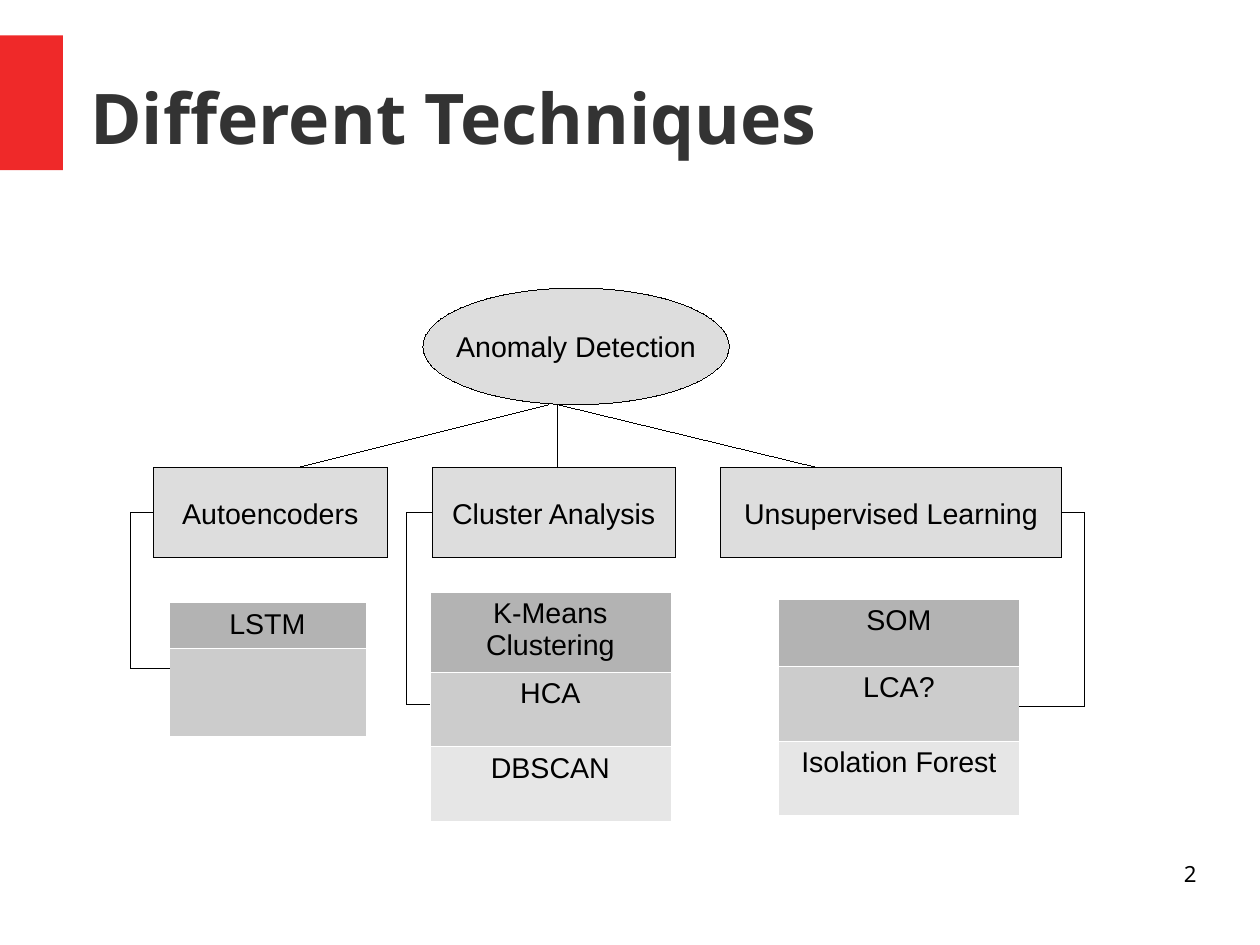
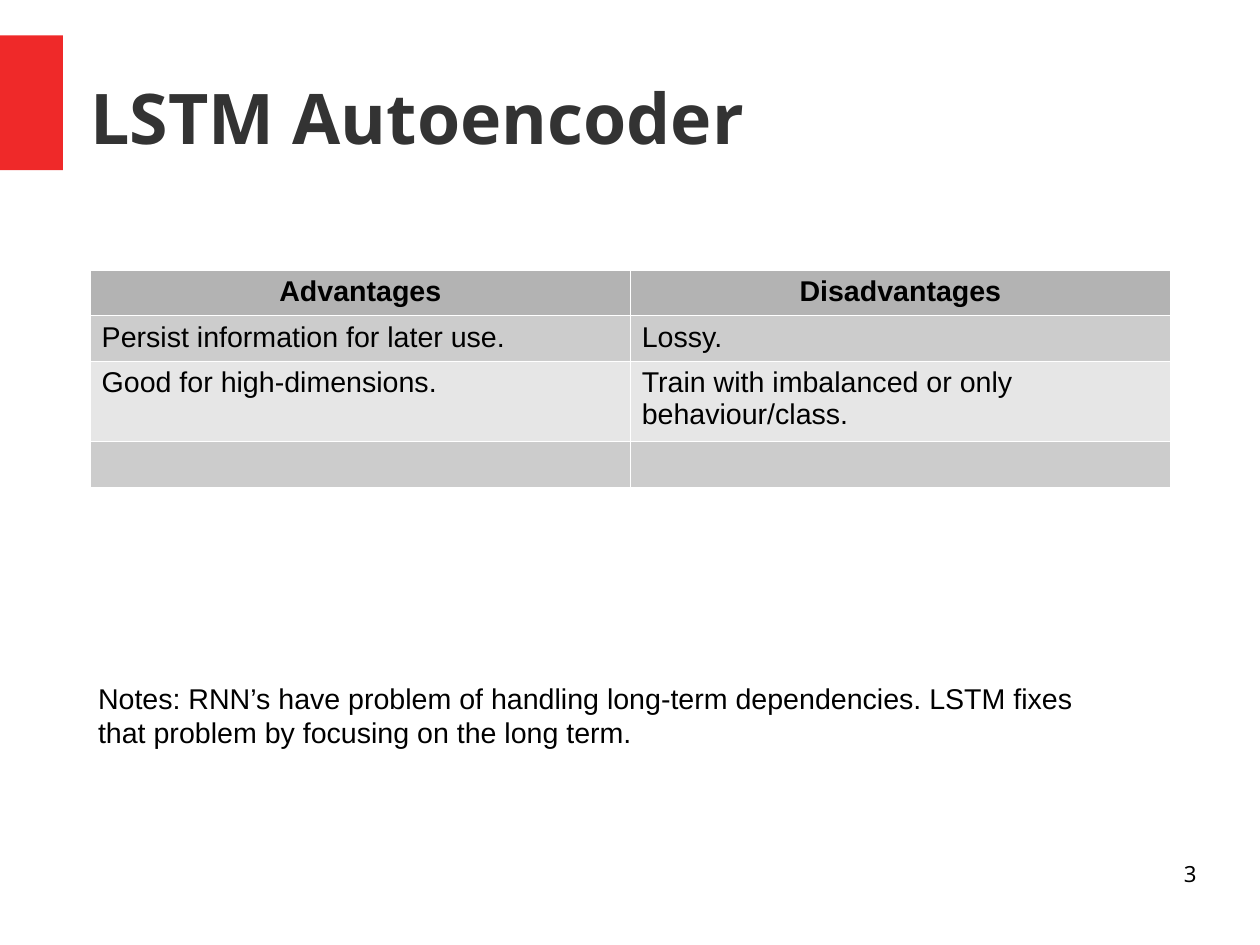
from dataclasses import dataclass

from lxml.etree import SubElement
from pptx import Presentation
from pptx.dml.color import RGBColor
from pptx.enum.shapes import MSO_CONNECTOR, MSO_SHAPE
from pptx.enum.text import MSO_ANCHOR, PP_ALIGN
from pptx.oxml.ns import qn
from pptx.util import Inches, Pt


@dataclass(frozen=True)
class Theme:
    accent: str = "EF2929"
    title: str = "333333"
    ink: str = "000000"
    node: str = "DDDDDD"
    edge: str = "FFFFFF"
    head: str = "B3B3B3"
    rows: tuple = ("CCCCCC", "E6E6E6")
    sans: str = "Noto Sans"
    body: str = "Arial"
    big: int = 44
    mid: int = 18
    small: int = 14
    hair: float = 0.01


T = Theme()
SIZE = 28 / 2.54, 21 / 2.54  # 28 by 21 cm
BAND = 0, 0.31, 0.55, 1.18
TITLE = 0.79, 0.33, 9.68, 1.38
PAGE = 7.9, 7.53, 2.57, 0.57

ROOT = "Anomaly Detection", (3.7, 2.52, 2.68, 1.02)
TOP, HIGH = 4.09, 0.79
STEM = 4.88
REACH = 0.2  # how far a bracket stands out from what it joins

# box: text, left, width; spoke: start, end; list: left, top, width, row heights
# link: side of the box and the list (0 left, 1 right), end height
GROUPS = [
    {"box": ("Autoencoders", 1.34, 2.05),
     "spoke": (4.8, 2.6, TOP),
     "list": (1.48, 5.27, 1.72, (0.38, 0.77)),
     "link": (0, 5.85),
     "items": ["LSTM", ""]},
    {"box": ("Cluster Analysis", 3.78, 2.13),
     "spoke": (STEM, STEM, 4.17),
     "list": (3.76, 5.18, 2.11, (0.65, 0.65, 0.65)),
     "link": (0, 6.16),
     "items": ["K-Means Clustering", "HCA", "DBSCAN"]},
    {"box": ("Unsupervised Learning", 6.3, 2.99),
     "spoke": (STEM, 7.48, 4.17),
     "list": (6.81, 5.24, 2.11, (0.59, 0.65, 0.65)),
     "link": (1, 6.18),
     "items": ["SOM", "LCA?", "Isolation Forest"]},
]

TRAITS = [
    ("Advantages", "Disadvantages"),
    ("Persist information for later use.", "Lossy."),
    ("Good for high-dimensions.",
     "Train with imbalanced or only behaviour/class."),
    ("", ""),
]
NOTE = ("Notes: RNN’s have problem of handling long-term dependencies. "
        "LSTM fixes that problem by focusing on the long term.")


def inch(vals):
    return [Inches(v) for v in vals]


def paint(fill, tint):
    fill.solid()
    fill.fore_color.rgb = RGBColor.from_string(tint)


def ink(line):
    paint(line.fill, T.ink)
    line.width = Pt(T.hair)


def write(frame, text, size=T.mid, face=T.body, tint=T.ink, bold=False,
          align=PP_ALIGN.LEFT):
    frame.text = text
    para = frame.paragraphs[0]
    para.alignment = align
    font = para.font
    font.size, font.name, font.bold = Pt(size), face, bold
    font.color.rgb = RGBColor.from_string(tint)


def pad_off(frame):
    frame.margin_left = frame.margin_right = 0
    frame.margin_top = frame.margin_bottom = 0


def add_shape(slide, kind, area, tint):
    shape = slide.shapes.add_shape(kind, *inch(area))
    shape.shadow.inherit = False
    paint(shape.fill, tint)
    shape.line.fill.background()
    return shape


def add_node(slide, kind, area, text):
    node = add_shape(slide, kind, area, T.node)
    ink(node.line)
    frame = node.text_frame
    frame.word_wrap = False
    frame.vertical_anchor = MSO_ANCHOR.MIDDLE
    write(frame, text, align=PP_ALIGN.CENTER)


def add_text(slide, area, text, **style):
    frame = slide.shapes.add_textbox(*inch(area)).text_frame
    frame.word_wrap = True
    write(frame, text, **style)
    return frame


def add_line(slide, start, end, via=None):
    """Draw a straight line, or an elbow whose upright stands at x = via."""
    kind = MSO_CONNECTOR.STRAIGHT if via is None else MSO_CONNECTOR.ELBOW
    line = slide.shapes.add_connector(kind, *inch(start + end))
    ink(line.line)
    props = line._element.spPr
    SubElement(props, qn("a:effectLst"))
    if via is not None:
        ratio = (via - start[0]) / (end[0] - start[0])
        geom = props.find(qn("a:prstGeom"))
        guides = geom.find(qn("a:avLst"))
        if guides is None:
            guides = SubElement(geom, qn("a:avLst"))
        SubElement(guides, qn("a:gd"), name="adj1",
                   fmla=f"val {round(ratio * 100000)}")


def edge_cell(cell):
    props = cell._tc.get_or_add_tcPr()
    for side in ("lnL", "lnR", "lnT", "lnB"):
        line = SubElement(props, qn(f"a:{side}"), w=str(Pt(0.06)))
        fill = SubElement(line, qn("a:solidFill"))
        SubElement(fill, qn("a:srgbClr"), val=T.edge)


def add_grid(slide, left, top, wide, highs, rows, bold=False,
             body=PP_ALIGN.CENTER):
    """Add a table with a dark first row and two shades in turn below it."""
    area = inch((left, top, wide, sum(highs)))
    grid = slide.shapes.add_table(len(rows), len(rows[0]), *area).table
    for r, row in enumerate(rows):
        grid.rows[r].height = Inches(highs[r])
        for c, text in enumerate(row):
            cell = grid.cell(r, c)
            edge_cell(cell)
            paint(cell.fill, T.rows[(r - 1) % 2] if r else T.head)
            write(cell.text_frame, text, bold=bold and r == 0,
                  align=body if r else PP_ALIGN.CENTER)


def add_page(deck, title, number):
    slide = deck.slides.add_slide(deck.slide_layouts[5])
    add_shape(slide, MSO_SHAPE.RECTANGLE, BAND, T.accent)
    head = slide.shapes.title
    head.left, head.top, head.width, head.height = inch(TITLE)
    frame = head.text_frame
    pad_off(frame)
    frame.vertical_anchor = MSO_ANCHOR.MIDDLE
    write(frame, title, T.big, T.sans, T.title, True)
    pad_off(add_text(slide, PAGE, str(number), size=T.small, face=T.sans,
                     align=PP_ALIGN.RIGHT))
    return slide


def draw_tree(slide):
    text, area = ROOT
    add_node(slide, MSO_SHAPE.OVAL, area, text)
    base = area[1] + area[3]
    for group in GROUPS:
        start, end, low = group["spoke"]
        add_line(slide, (start, base), (end, low))
        text, left, wide = group["box"]
        add_node(slide, MSO_SHAPE.RECTANGLE, (left, TOP, wide, HIGH), text)
        x, y, span, highs = group["list"]
        add_grid(slide, x, y, span, highs, [[i] for i in group["items"]])
        side, low = group["link"]
        near, far = left + side * wide, x + side * span
        via = max(near, far) + REACH if side else min(near, far) - REACH
        add_line(slide, (near, TOP + HIGH / 2), (far, low), via)


def main():
    deck = Presentation()
    deck.slide_width, deck.slide_height = inch(SIZE)
    draw_tree(add_page(deck, "Different Techniques", 2))
    slide = add_page(deck, "LSTM Autoencoder", 3)
    add_grid(slide, 0.79, 2.36, 9.45, [0.37] * len(TRAITS), TRAITS,
             bold=True, body=PP_ALIGN.LEFT)
    add_text(slide, (0.76, 5.91, 8.74, 0.66), NOTE)
    deck.save("out.pptx")


if __name__ == "__main__":
    main()
